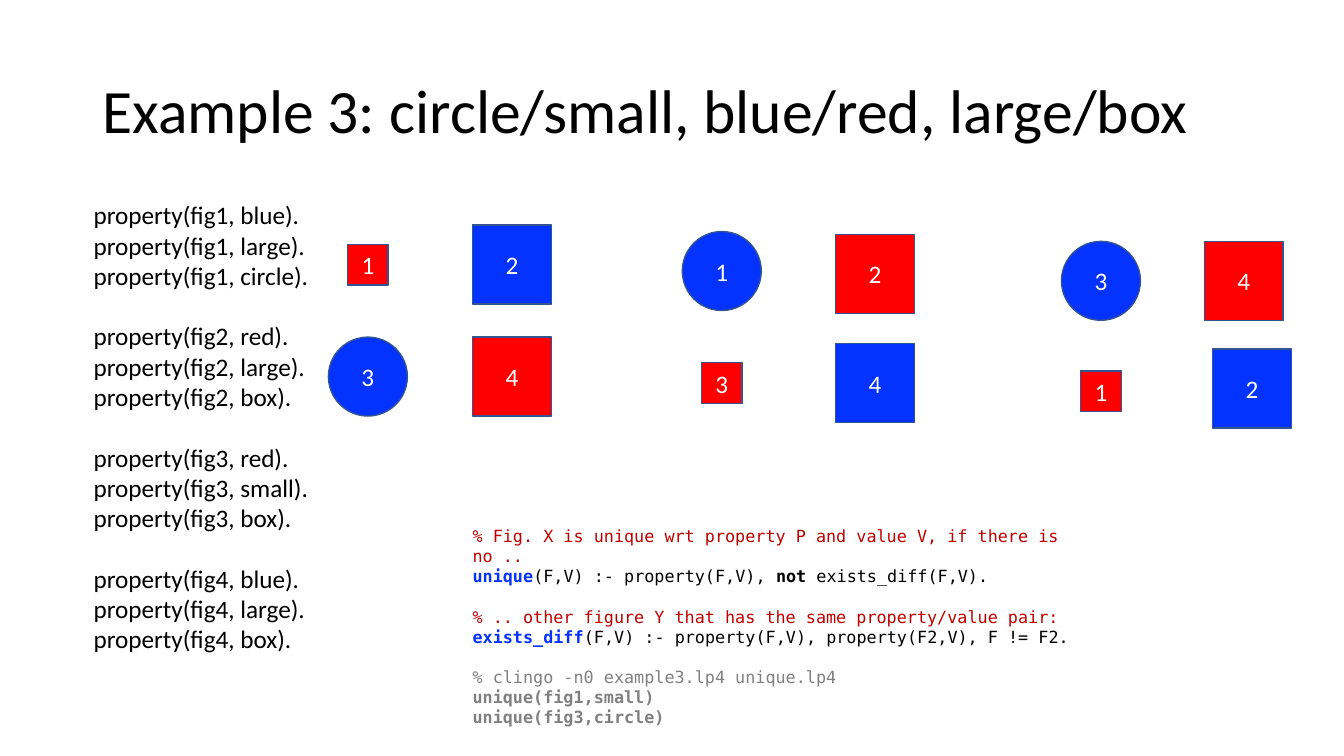
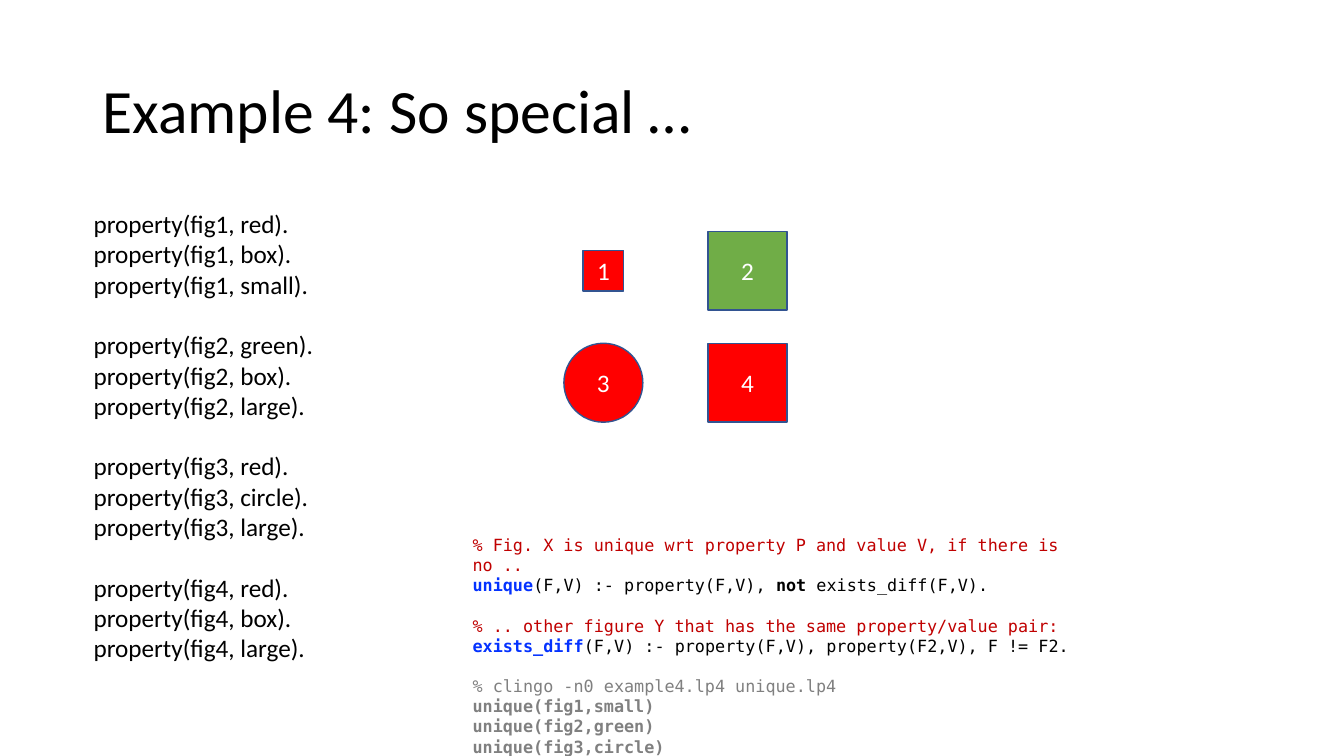
from pptx import Presentation
from pptx.dml.color import RGBColor
from pptx.enum import shapes, text
from pptx.util import Pt

SANS, MONO = "Calibri", "DejaVu Sans Mono"
BLACK, WHITE, GREY, OUTLINE = "000000", "FFFFFF", "808080", "325491"
RED, BLUE, GREEN, DARK_RED = "FF0000", "0432FF", "70AD47", "C00000"
LARGE, SMALL, ROW_PITCH = 56.4, 29, 80
BOX, CIRCLE = shapes.MSO_SHAPE.RECTANGLE, shapes.MSO_SHAPE.OVAL

RULES = [
    [
        [("% Fig. X is unique wrt property P and value V, if there is no ..", DARK_RED, False)],
        [("unique", BLUE, True), ("(F,V) :- property(F,V), ", BLACK, False),
         ("not ", BLACK, True), ("exists_diff(F,V).", BLACK, False)],
    ],
    [
        [("% .. other figure Y that has the same property/value pair:", DARK_RED, False)],
        [("exists_diff", BLUE, True),
         ("(F,V) :- property(F,V), property(F2,V), F != F2.", BLACK, False)],
    ],
]


def color(value):
    """Turn a hex string into a colour."""
    return RGBColor.from_string(value)


def add_run(p, words, size, font, ink, bold=False):
    """Append one formatted run to a paragraph."""
    r = p.add_run()
    r.text = words
    r.font.size, r.font.name, r.font.bold = Pt(size), font, bold
    r.font.color.rgb = color(ink)


def add_blocks(slide, box, blocks, size, font, gap, wrap):
    """Write blocks of lines into a text box, one gap between blocks."""
    tf = slide.shapes.add_textbox(*map(Pt, box)).text_frame
    tf.word_wrap = wrap
    p = None
    for block in blocks:
        for i, line in enumerate(block):
            first = p is None
            p = tf.paragraphs[0] if first else tf.add_paragraph()
            if i == 0 and not first:
                p.space_before = Pt(gap)
            for words, ink, bold in line:
                add_run(p, words, size, font, ink, bold)


def add_title(slide, words):
    """Place and format the slide title."""
    sp = slide.shapes.title
    sp.left, sp.top, sp.width, sp.height = map(Pt, (66, 28.75, 828, 104.4))
    tf = sp.text_frame
    tf.word_wrap, tf.auto_size = True, text.MSO_AUTO_SIZE.NONE
    tf.vertical_anchor = text.MSO_ANCHOR.MIDDLE
    p = tf.paragraphs[0]
    p.alignment, p.line_spacing = text.PP_ALIGN.LEFT, 0.9
    add_run(p, words, 44, SANS, BLACK)


def add_facts(slide, box, figures):
    """List the three properties of every figure."""
    blocks = [[[(f"property(fig{n}, {value}).", BLACK, False)] for value in values.split()]
              for n, values in enumerate(figures, 1)]
    add_blocks(slide, box, blocks, 18, SANS, 21.7, False)


def add_program(slide, box, number, answers):
    """Show the rules, the command and its answers."""
    command = [(f"% clingo -n0 example{number}.lp4 unique.lp4", GREY, False)]
    results = [[(f"unique({answer})", GREY, True)] for answer in answers]
    add_blocks(slide, box, RULES + [[command] + results], 12, MONO, 14.4, True)


def add_figure(parent, center, size, kind, fill, label):
    """Draw one numbered figure around its centre."""
    x, y = center
    sp = parent.add_shape(kind, Pt(x - size / 2), Pt(y - size / 2), Pt(size), Pt(size))
    sp.shadow.inherit = False
    sp.fill.solid()
    sp.fill.fore_color.rgb = color(fill)
    sp.line.color.rgb = color(OUTLINE)
    sp.line.width = Pt(1)
    tf = sp.text_frame
    tf.vertical_anchor = text.MSO_ANCHOR.MIDDLE
    p = tf.paragraphs[0]
    p.alignment = text.PP_ALIGN.CENTER
    add_run(p, label, 18, SANS, WHITE)


def add_quad(slide, left, top, pitch, figures):
    """Draw four figures row by row on a two by two grid of centres."""
    group = slide.shapes.add_group_shape().shapes
    for i, (label, kind, size, fill, dx, dy) in enumerate(figures):
        row, col = divmod(i, 2)
        center = left + col * pitch + dx, top + row * ROW_PITCH + dy
        add_figure(group, center, size, kind, fill, label)


def add_example(prs, number, name, top, facts, answers, quads):
    """Build one example slide with facts, figures and program."""
    slide = prs.slides.add_slide(prs.slide_layouts[5])
    add_title(slide, f"Example {number}: {name}")
    add_facts(slide, (59.8, top, 172, 334), facts)
    for quad in quads:
        add_quad(slide, *quad)
    add_program(slide, (330.5, top + 233, 471.6, 138), number, answers)


def figure(label, kind, size, fill, dx=0, dy=0):
    """Describe one figure and its offset from the grid."""
    return label, kind, size, fill, dx, dy


prs = Presentation()
prs.slide_width, prs.slide_height = Pt(960), Pt(540)

add_example(
    prs, 3, "circle/small, blue/red, large/box", 139,
    ["blue large circle", "red large box", "red small box", "blue large box"],
    ["fig1,small", "fig3,circle"],
    [
        (262.8, 189, 103, [
            figure("1", BOX, SMALL, RED), figure("2", BOX, LARGE, BLUE),
            figure("3", CIRCLE, LARGE, BLUE), figure("4", BOX, LARGE, RED)]),
        (515.6, 193.6, 109.4, [
            figure("1", CIRCLE, LARGE, BLUE), figure("2", BOX, LARGE, RED, dy=2),
            figure("3", BOX, SMALL, RED), figure("4", BOX, LARGE, BLUE)]),
        (786.4, 200.6, 102, [
            figure("3", CIRCLE, LARGE, BLUE), figure("4", BOX, LARGE, RED),
            figure("1", BOX, SMALL, RED, dy=-1), figure("2", BOX, LARGE, BLUE, 6, -3)]),
    ])

add_example(
    prs, 4, "So special …", 145.4,
    ["red box small", "green box large", "red circle large", "red box large"],
    ["fig1,small", "fig2,green", "fig3,circle"],
    [
        (431, 193.4, 103, [
            figure("1", BOX, SMALL, RED), figure("2", BOX, LARGE, GREEN),
            figure("3", CIRCLE, LARGE, RED), figure("4", BOX, LARGE, RED)]),
    ])

prs.save("out.pptx")
